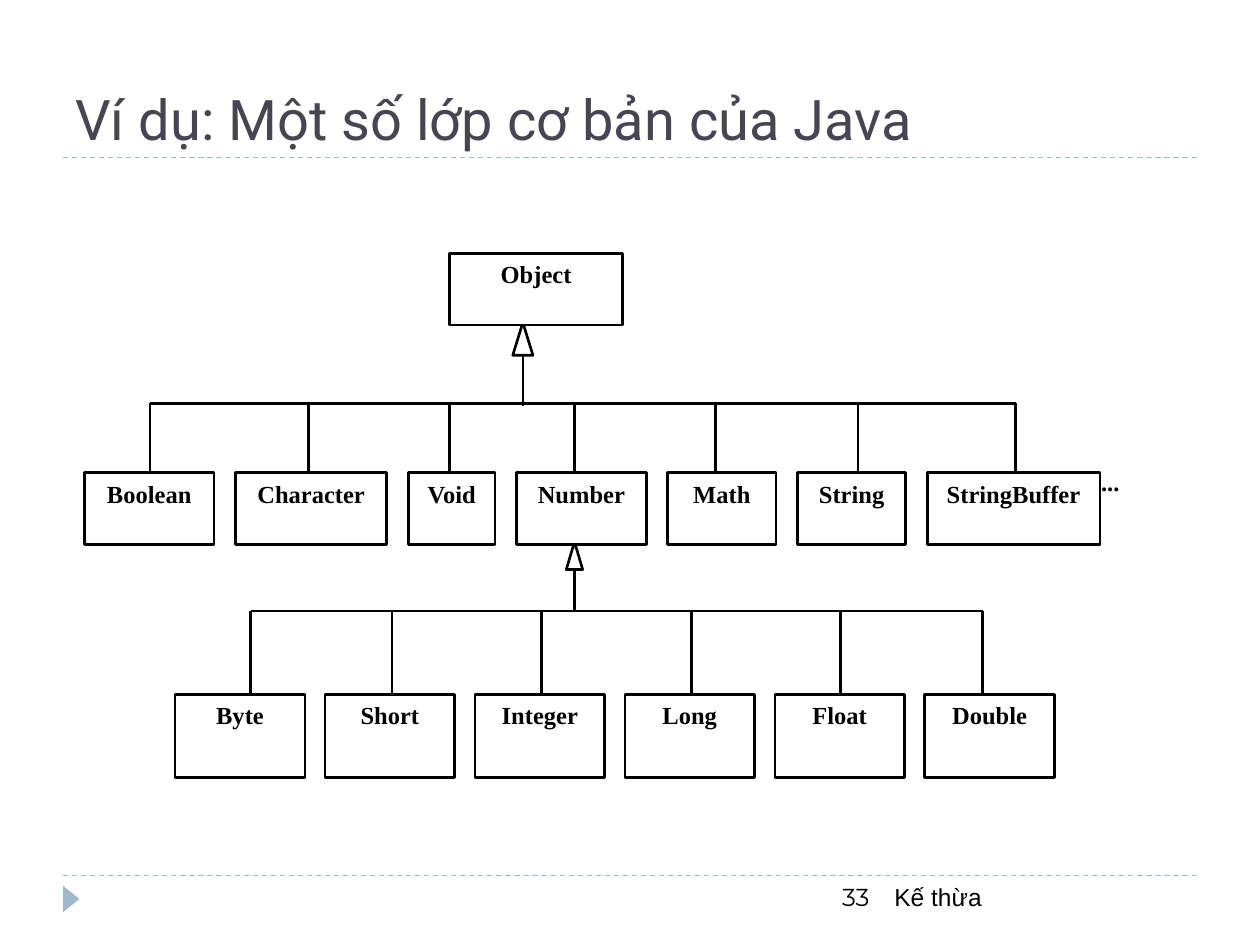
from pptx import Presentation
from pptx.dml.color import RGBColor
from pptx.enum.dml import MSO_LINE
from pptx.enum.shapes import MSO_CONNECTOR, MSO_SHAPE
from pptx.enum.text import MSO_ANCHOR, PP_ALIGN
from pptx.oxml.ns import qn
from pptx.util import Inches, Pt
from lxml import etree

RECTANGLE = MSO_SHAPE.RECTANGLE
TRIANGLE = MSO_SHAPE.ISOSCELES_TRIANGLE
EXTRACT = MSO_SHAPE.FLOWCHART_EXTRACT
STRAIGHT = MSO_CONNECTOR.STRAIGHT
DASH = MSO_LINE.DASH
TOP, BOTTOM = MSO_ANCHOR.TOP, MSO_ANCHOR.BOTTOM
LEFT, CENTER, RIGHT = PP_ALIGN.LEFT, PP_ALIGN.CENTER, PP_ALIGN.RIGHT

COLORS = {"ink": "000000", "paper": "FFFFFF", "accent": "9FB8CD", "title": "464653"}
CLASS_FONT = "Times New Roman"

# Class name and box width
OBJECT_CHILDREN = [("Boolean", 1.03), ("Character", 1.2), ("Void", 0.69), ("Number", 1.03),
                   ("Math", 0.86), ("String", 0.86), ("StringBuffer", 1.37)]
NUMBER_CHILDREN = [(name, 1.03) for name in
                   ("Byte", "Short", "Integer", "Long", "Float", "Double")]
# Where the branches come down on each row
OBJECT_BRANCHES = [1.19, 2.45, 3.57, 4.56, 5.68, 6.81, 8.06]
NUMBER_BRANCHES = [1.99, 3.11, 4.3, 5.49, 6.67, 7.8]


def color(name):
    return RGBColor.from_string(COLORS[name])


def write(shape, text, font, size=14, ink="ink", bold=False, align=LEFT, anchor=TOP):
    frame = shape.text_frame
    frame.word_wrap = True
    frame.vertical_anchor = anchor
    frame.text = text
    para = frame.paragraphs[0]
    para.alignment = align
    span = para.runs[0]
    span.font.name = font
    span.font.size = Pt(size)
    span.font.bold = bold
    span.font.color.rgb = color(ink)


def add_text(page, place, text, font, **style):
    box = page.shapes.add_textbox(*map(Inches, place))
    write(box, text, font, **style)


def add_line(page, start, end, ink="ink", width=1.5, dash=None):
    line = page.shapes.add_connector(STRAIGHT, *map(Inches, start + end))
    line.line.color.rgb = color(ink)
    line.line.width = Pt(width)
    if dash:
        line.line.dash_style = dash
    etree.SubElement(line._element.spPr, qn("a:effectLst"))


def add_outlined(page, kind, place):
    shape = page.shapes.add_shape(kind, *map(Inches, place))
    shape.shadow.inherit = False
    shape.fill.solid()
    shape.fill.fore_color.rgb = color("paper")
    shape.line.color.rgb = color("ink")
    shape.line.width = Pt(1.5)
    return shape


def add_class(page, name, left, top, width, height):
    box = add_outlined(page, RECTANGLE, (left, top, width, height))
    write(box, name, CLASS_FONT, bold=True, align=CENTER)


def add_class_row(page, classes, left, top, height, gap):
    for name, width in classes:
        add_class(page, name, left, top, width, height)
        left += width + gap


def add_branches(page, columns, top, bottom):
    """Draw a horizontal bar with one line down to each child."""
    add_line(page, (columns[0], top), (columns[-1], top))
    for x in columns:
        add_line(page, (x, top), (x, bottom))


def add_inheritance_arrow(page, center, top, width, height, bottom):
    add_outlined(page, EXTRACT, (center - width / 2, top, width, height))
    add_line(page, (center, top + height), (center, bottom))


def add_frame(page):
    """Draw the dashed rules, the corner marker, the title and the footer."""
    for y in (6.95, 1.25):
        add_line(page, (0.5, y), (9.5, y), "accent", 0.75, DASH)
    marker = page.shapes.add_shape(TRIANGLE, *map(Inches, (0.46, 7.07, 0.21, 0.13)))
    marker.rotation = 90
    marker.shadow.inherit = False
    marker.fill.solid()
    marker.fill.fore_color.rgb = color("accent")
    marker.line.fill.background()
    add_text(page, (7, 6.95, 2.5, 0.4), "Kế thừa", "Arial")
    add_text(page, (3.17, 6.95, 3.83, 0.4), "33", "Montserrat", align=RIGHT)
    add_text(page, (0.5, 0.17, 9, 1.08), "Ví dụ: Một số lớp cơ bản của Java", "Roboto",
             size=32, ink="title", anchor=BOTTOM)


def main():
    deck = Presentation()
    deck.slide_width, deck.slide_height = Inches(10), Inches(7.5)
    page = deck.slides.add_slide(deck.slide_layouts[6])
    add_frame(page)

    add_inheritance_arrow(page, 4.15, 2.56, 0.16, 0.26, 3.22)
    add_inheritance_arrow(page, 4.56, 4.3, 0.13, 0.22, 4.85)
    add_class(page, "Object", 3.57, 2.01, 1.37, 0.57)
    add_class_row(page, OBJECT_CHILDREN, 0.67, 3.75, 0.57, 0.17)
    add_branches(page, OBJECT_BRANCHES, 3.2, 3.75)
    add_class_row(page, NUMBER_CHILDREN, 1.39, 5.51, 0.66, 0.16)
    add_branches(page, NUMBER_BRANCHES, 4.85, 5.51)
    add_text(page, (8.64, 3.66, 0.52, 0.64), "...", CLASS_FONT, bold=True)
    deck.save("out.pptx")


if __name__ == "__main__":
    main()
